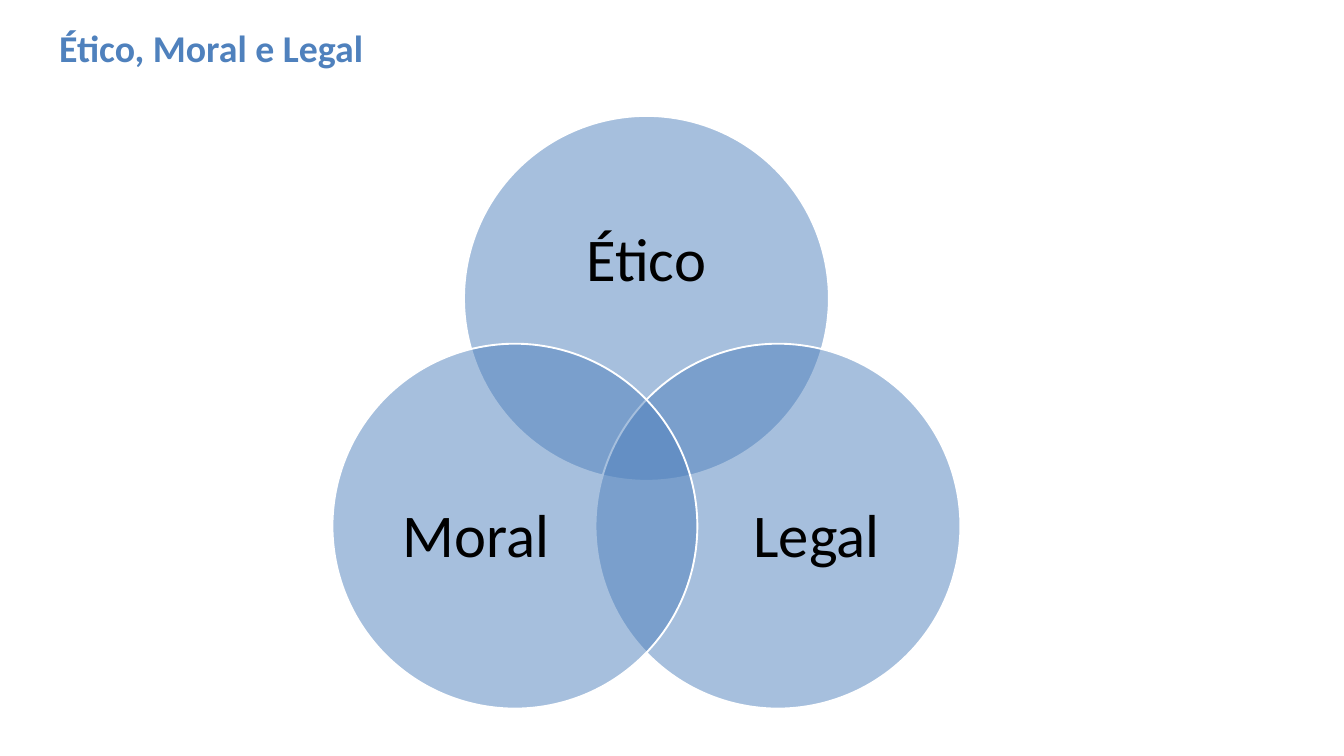
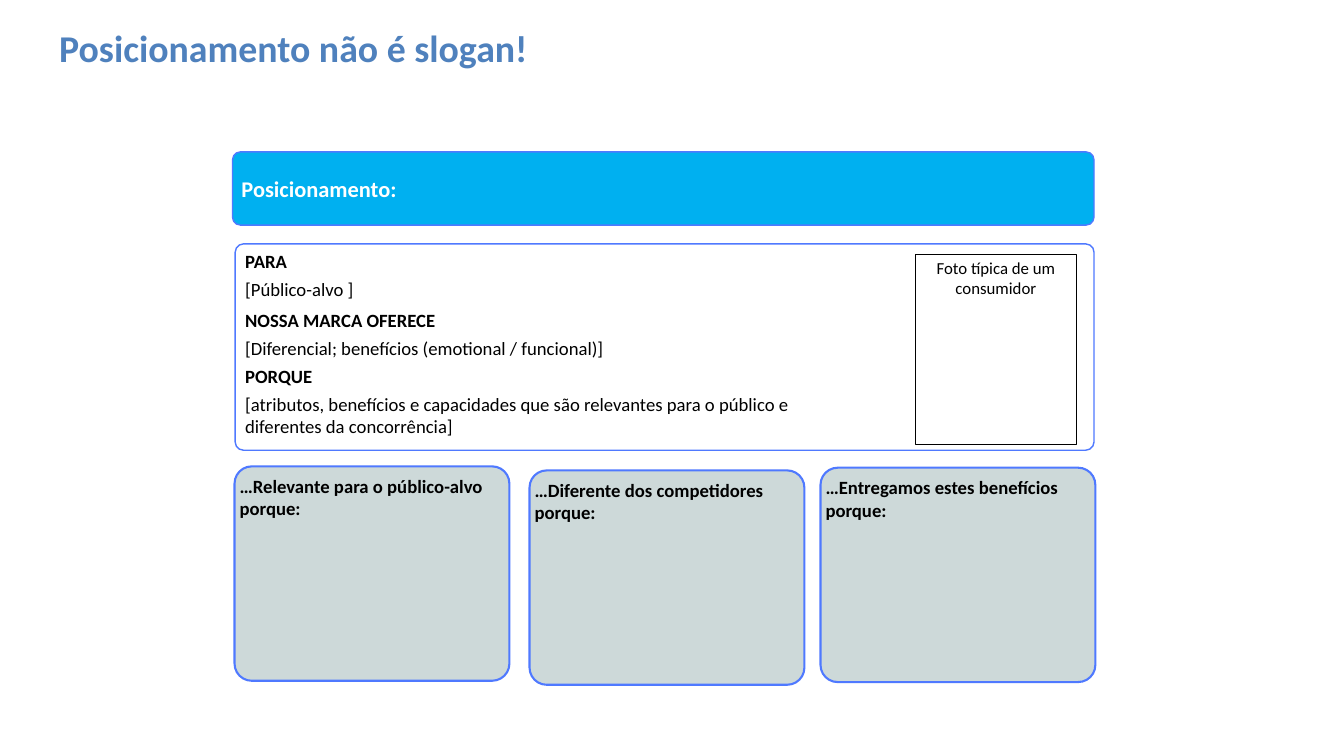
import math

import lxml.etree
import pptx
import pptx.dml.color
import pptx.enum.shapes
import pptx.enum.text
import pptx.oxml.ns
import pptx.util

Inches, Pt = pptx.util.Inches, pptx.util.Pt
ALIGN = pptx.enum.text.PP_ALIGN
ANCHOR = pptx.enum.text.MSO_ANCHOR
SHAPE = pptx.enum.shapes.MSO_SHAPE

FONT = "Calibri"
BLUE, SKY, EDGE, GREY = "4F81BD", "00B0F0", "4F79FF", "CDD9D9"
BLACK, WHITE = "000000", "FFFFFF"

VENN_TITLE = "Ético, Moral e Legal"
VENN_CENTRE = (9.62, 6.7)
VENN_REACH = 2.26
DIAMETER = 5.43
# label, angle of the circle's centre, label box relative to the circle
CIRCLES = [
    ("Ético", -90, (0.72, 0.95, 3.98, 2.44)),
    ("Legal", 30, (1.66, 1.4, 3.26, 2.99)),
    ("Moral", 150, (0.51, 1.4, 3.26, 2.99)),
]

POSITIONING_TITLE = "Posicionamento não é slogan!"
HEADER = "Posicionamento:"
PHOTO_CAPTION = "Foto típica de um consumidor"
STATEMENT_LEFT, STATEMENT_WIDTH = 3.55, 8.86
# top, height, heading, answer
STATEMENTS = [
    (3.72, 0.74, "PARA", "[Público-alvo ]"),
    (4.6, 0.74, "NOSSA MARCA OFERECE", "[Diferencial; benefícios (emotional / funcional)]"),
    (5.47, 1, "PORQUE",
     "[atributos, benefícios e capacidades que são relevantes para o público e "
     "diferentes da concorrência]"),
]
CARD_SIZE = (4.09, 3.19)
# left, top, text
CARDS = [
    (3.49, 6.94, "…Relevante para o público-alvo porque:"),
    (7.88, 7, "…Diferente dos competidores porque:"),
    (12.21, 6.96, "…Entregamos estes benefícios porque:"),
]


def rgb(colour):
    return pptx.dml.color.RGBColor.from_string(colour)


def inches(box):
    return [Inches(length) for length in box]


def style(paragraph, size, colour=BLACK, bold=False, align=ALIGN.LEFT):
    font = paragraph.font
    font.name, font.size, font.bold = FONT, Pt(size), bold
    font.color.rgb = rgb(colour)
    paragraph.alignment = align


def set_frame(frame, anchor, margins=(0.1, 0.05)):
    """Wrap the text, anchor it and set its side and top/bottom margins."""
    frame.word_wrap = True
    frame.vertical_anchor = anchor
    frame.margin_left = frame.margin_right = Inches(margins[0])
    frame.margin_top = frame.margin_bottom = Inches(margins[1])


def add_panel(slide, kind, box, fill, edge, width, corner=None):
    panel = slide.shapes.add_shape(kind, *inches(box))
    panel.shadow.inherit = False
    if fill:
        panel.fill.solid()
        panel.fill.fore_color.rgb = rgb(fill)
    else:
        panel.fill.background()
    panel.line.color.rgb = rgb(edge)
    panel.line.width = Pt(width)
    if corner is not None:
        panel.adjustments[0] = corner
    return panel


def write(panel, text, anchor, margins=(0.1, 0.05), **look):
    set_frame(panel.text_frame, anchor, margins)
    panel.text_frame.text = text
    style(panel.text_frame.paragraphs[0], **look)


def make_translucent(panel, percent):
    colour = panel.fill._xPr.find(".//" + pptx.oxml.ns.qn("a:srgbClr"))
    lxml.etree.SubElement(colour, pptx.oxml.ns.qn("a:alpha"), val=str(percent * 1000))


def add_titled_slide(deck, text):
    slide = deck.slides.add_slide(deck.slide_layouts.get_by_name("Title Only"))
    title = slide.shapes.title
    title.left, title.top, title.width, title.height = inches((0.78, 0.35, 13.65, 0.71))
    write(title, text, ANCHOR.MIDDLE, size=40.5, colour=BLUE, bold=True)
    title.text_frame.auto_size = pptx.enum.text.MSO_AUTO_SIZE.NONE
    return slide


def build_venn(deck):
    slide = add_titled_slide(deck, VENN_TITLE)
    for name, angle, (dx, dy, width, height) in CIRCLES:
        turn = math.radians(angle)
        left = VENN_CENTRE[0] + VENN_REACH * math.cos(turn) - DIAMETER / 2
        top = VENN_CENTRE[1] + VENN_REACH * math.sin(turn) - DIAMETER / 2
        circle = add_panel(slide, SHAPE.OVAL, (left, top, DIAMETER, DIAMETER), BLUE, WHITE, 2)
        make_translucent(circle, 50)
        label = slide.shapes.add_textbox(*inches((left + dx, top + dy, width, height)))
        write(label, name, ANCHOR.MIDDLE, (0, 0), size=65, align=ALIGN.CENTER)
        label.text_frame.paragraphs[0].line_spacing = 0.9


def build_positioning(deck):
    slide = add_titled_slide(deck, POSITIONING_TITLE)
    for left, top, text in CARDS:
        card = add_panel(slide, SHAPE.ROUNDED_RECTANGLE, (left, top, *CARD_SIZE),
                         GREY, EDGE, 2.25, 0.08)
        write(card, text, ANCHOR.TOP, (0, 0.05), size=20, bold=True)

    add_panel(slide, SHAPE.ROUNDED_RECTANGLE, (3.5, 3.63, 12.78, 3.07), WHITE, EDGE, 1.5, 0.04)
    for top, height, heading, answer in STATEMENTS:
        statement = slide.shapes.add_textbox(
            *inches((STATEMENT_LEFT, top, STATEMENT_WIDTH, height)))
        write(statement, heading, ANCHOR.MIDDLE, size=20, bold=True)
        reply = statement.text_frame.add_paragraph()
        reply.text = answer
        style(reply, 20)
        reply.space_before = Pt(3)
        for paragraph in statement.text_frame.paragraphs:
            paragraph.space_after = Pt(3)

    header = add_panel(slide, SHAPE.ROUNDED_RECTANGLE, (3.46, 2.26, 12.82, 1.09),
                       SKY, EDGE, 1.5, 0.11)
    write(header, HEADER, ANCHOR.MIDDLE, size=24, colour=WHITE, bold=True)
    photo = add_panel(slide, SHAPE.RECTANGLE, (13.62, 3.79, 2.4, 2.83), None, BLACK, 0.75)
    write(photo, PHOTO_CAPTION, ANCHOR.TOP, size=18, align=ALIGN.CENTER)


def main():
    deck = pptx.Presentation()
    deck.slide_width, deck.slide_height = Inches(20), Inches(11.25)
    build_venn(deck)
    build_positioning(deck)
    deck.save("out.pptx")


if __name__ == "__main__":
    main()
